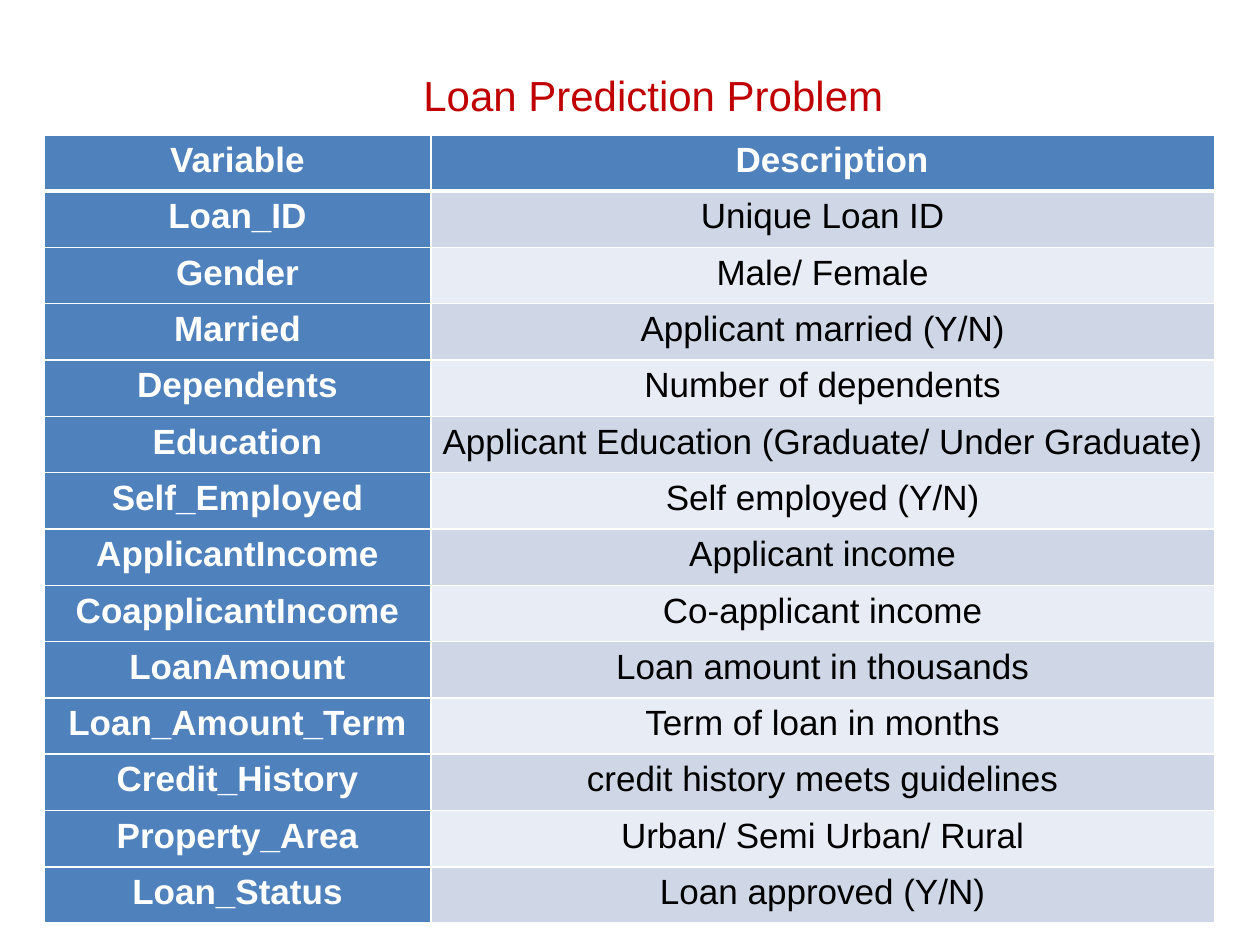
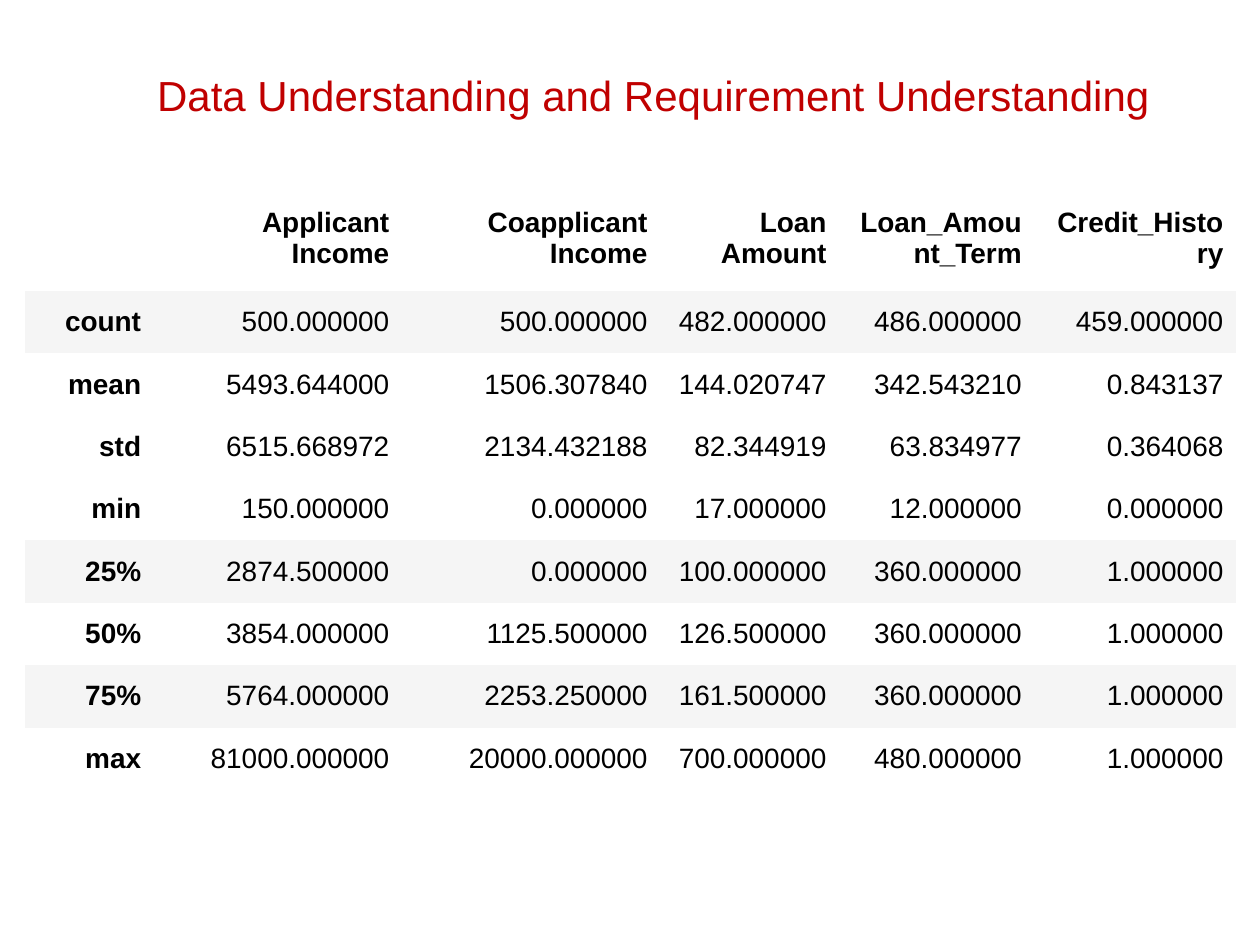
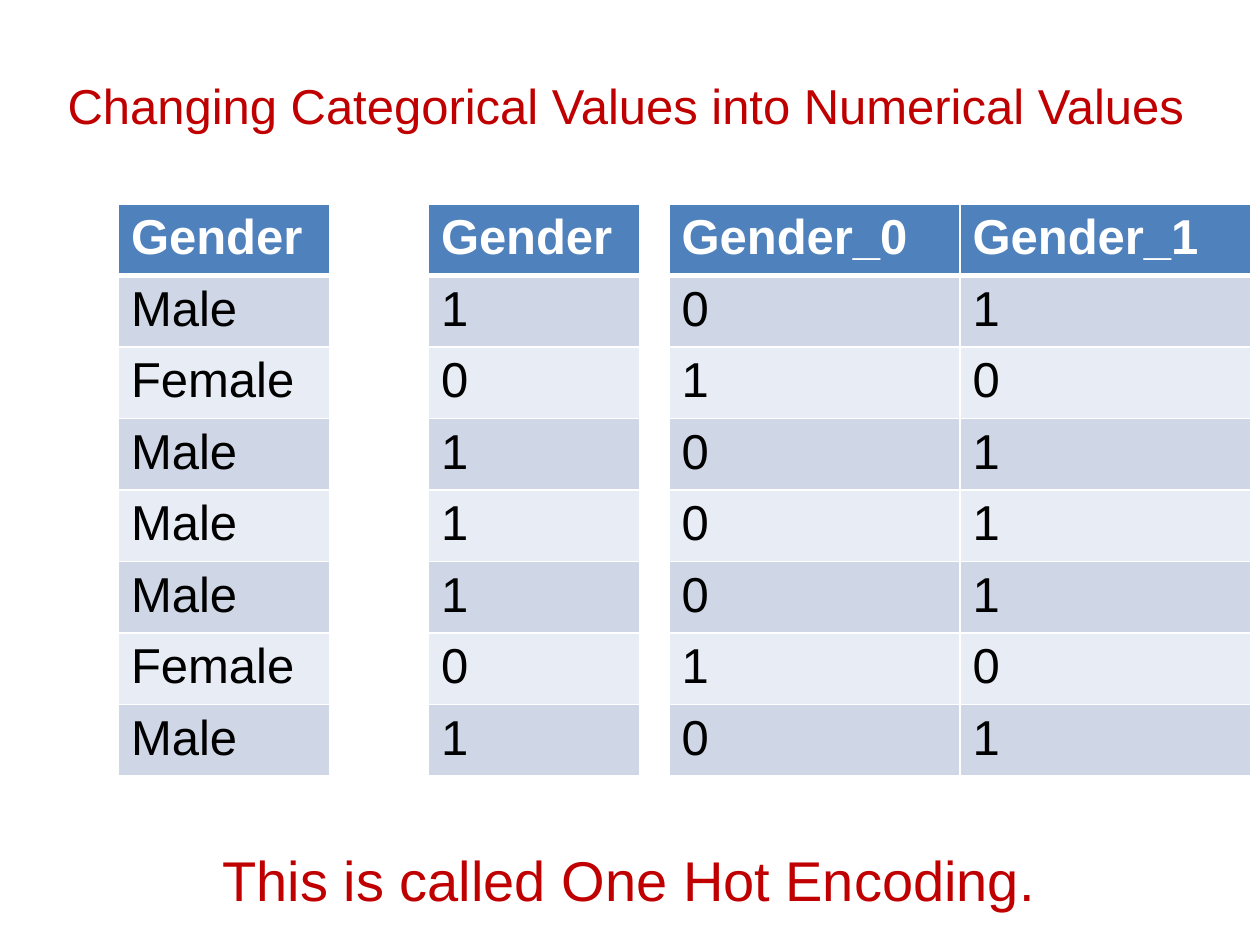
from lxml.etree import SubElement
from pptx import Presentation
from pptx.dml.color import RGBColor
from pptx.enum.text import MSO_ANCHOR as Anchor, PP_ALIGN as Align
from pptx.oxml.ns import qn
from pptx.util import Inches, Pt

FONT = "Arial"
RED, BLACK, WHITE = "C00000", "000000", "FFFFFF"
BLUE, DARK_BAND, LIGHT_BAND, GREY = "4F81BD", "CFD7E7", "E8ECF4", "F5F5F5"
PLAIN_TABLE_STYLE = "{2D5ABB26-0587-4C30-8999-92F81FD0307C}"

VARIABLES = [
    ("Variable", "Description"),
    ("Loan_ID", "Unique Loan ID"),
    ("Gender", "Male/ Female"),
    ("Married", "Applicant married (Y/N)"),
    ("Dependents", "Number of dependents"),
    ("Education", "Applicant Education (Graduate/ Under Graduate)"),
    ("Self_Employed", "Self employed (Y/N)"),
    ("ApplicantIncome", "Applicant income"),
    ("CoapplicantIncome", "Co-applicant income"),
    ("LoanAmount", "Loan amount in thousands"),
    ("Loan_Amount_Term", "Term of loan in months"),
    ("Credit_History", "credit history meets guidelines"),
    ("Property_Area", "Urban/ Semi Urban/ Rural"),
    ("Loan_Status", "Loan approved (Y/N)"),
]
STATISTICS_HEADER = ("", "Applicant Income", "Coapplicant Income", "Loan Amount",
                     "Loan_Amount_Term", "Credit_History")
STATISTICS = {
    "count": (500, 500, 482, 486, 459),
    "mean": (5493.644, 1506.30784, 144.020747, 342.54321, 0.843137),
    "std": (6515.668972, 2134.432188, 82.344919, 63.834977, 0.364068),
    "min": (150, 0, 17, 12, 0),
    "25%": (2874.5, 0, 100, 360, 1),
    "50%": (3854, 1125.5, 126.5, 360, 1),
    "75%": (5764, 2253.25, 161.5, 360, 1),
    "max": (81000, 20000, 700, 480, 1),
}
SHADED_STATISTICS = ("count", "25%", "75%")
GENDERS = ("Male", "Female", "Male", "Male", "Male", "Female", "Male")


def color(value):
    """Turn a hex string into a colour."""
    return RGBColor.from_string(value)


def banded_fill(row, column, blue_first_column=False):
    """Return the fill of a cell in a blue banded table."""
    if row == 0 or (blue_first_column and column == 0):
        return BLUE
    return DARK_BAND if row % 2 else LIGHT_BAND


def variable_fill(row, column):
    """Return the fill of a cell in the table of variables."""
    return banded_fill(row, column, blue_first_column=True)


def statistics_fill(row, column):
    """Return the fill of a cell in the table of statistics."""
    return GREY if row and list(STATISTICS)[row - 1] in SHADED_STATISTICS else None


class Deck:
    """Hold the shared style and the current slide."""

    def __init__(self):
        """Start an empty 10 by 7.5 inch presentation."""
        self.presentation = Presentation()
        self.presentation.slide_width = Inches(10)
        self.presentation.slide_height = Inches(7.5)
        self.slide = None

    def add_slide(self):
        """Start a blank slide."""
        self.slide = self.presentation.slides.add_slide(self.presentation.slide_layouts[6])

    def format_text(self, paragraph, size, font_color, bold=False, align=Align.LEFT):
        """Format a paragraph and its runs."""
        paragraph.alignment = align
        for run in paragraph.runs:
            run.font.name = FONT
            run.font.size = Pt(size)
            run.font.bold = bold
            run.font.color.rgb = color(font_color)

    def add_text(self, text, left, top, width, height, size, anchor=Anchor.TOP):
        """Add a centred red line of text."""
        text_frame = self.slide.shapes.add_textbox(
            Inches(left), Inches(top), Inches(width), Inches(height)).text_frame
        text_frame.word_wrap = True
        text_frame.vertical_anchor = anchor
        text_frame.text = text
        self.format_text(text_frame.paragraphs[0], size, RED, align=Align.CENTER)

    def add_title(self, text, left=1.06, top=0.13, width=8.25, size=24):
        """Add the slide title."""
        self.add_text(text, left, top, width, 1.25, size, Anchor.MIDDLE)

    def add_borders(self, cell, row):
        """Draw white cell borders, thick under the header row."""
        properties = cell._tc.get_or_add_tcPr()
        for side in "LRTB":
            thick = (row, side) in ((0, "B"), (1, "T"))
            line = SubElement(properties, qn(f"a:ln{side}"), w=str(Pt(3 if thick else 1)))
            fill = SubElement(line, qn("a:solidFill"))
            SubElement(fill, qn("a:srgbClr"), val=WHITE)

    def add_table(self, rows, left, top, widths, height, size, fill_rule, header_height=None,
                  align=Align.LEFT, anchor=Anchor.TOP, borders=True, margins=True, spacing=None):
        """Add a table whose body rows share the height left by the header."""
        table = self.slide.shapes.add_table(
            len(rows), len(widths), Inches(left), Inches(top),
            Inches(sum(widths)), Inches(height)).table
        table._tbl.tblPr.find(qn("a:tableStyleId")).text = PLAIN_TABLE_STYLE
        for column, width in zip(table.columns, widths):
            column.width = Inches(width)
        if header_height:
            table.rows[0].height = Inches(header_height)
            for body_row in list(table.rows)[1:]:
                body_row.height = Inches((height - header_height) / (len(rows) - 1))
        for r, values in enumerate(rows):
            for c, value in enumerate(values):
                cell, fill = table.cell(r, c), fill_rule(r, c)
                if borders:
                    self.add_borders(cell, r)
                if fill:
                    cell.fill.solid()
                    cell.fill.fore_color.rgb = color(fill)
                else:
                    cell.fill.background()
                cell.vertical_anchor = anchor
                if not margins:
                    cell.margin_left = cell.margin_right = 0
                    cell.margin_top = cell.margin_bottom = 0
                cell.text_frame.text = value
                paragraph = cell.text_frame.paragraphs[0]
                paragraph.line_spacing = spacing
                heading = fill == BLUE or (fill_rule is statistics_fill and 0 in (r, c))
                self.format_text(paragraph, size, WHITE if fill == BLUE else BLACK,
                                 heading, align)
        return table


def build_variables(deck):
    """Build the slide that describes the variables."""
    deck.add_slide()
    deck.add_title("Loan Prediction Problem")
    table = deck.add_table(VARIABLES, 0.35, 1.07, (3.07, 6.22), 6.26, 20, variable_fill,
                           align=Align.CENTER, anchor=Anchor.MIDDLE, margins=False,
                           spacing=0.82)
    table.cell(0, 1).margin_left = Inches(0.15)


def build_statistics(deck):
    """Build the slide with the summary statistics."""
    deck.add_slide()
    deck.add_title("Data Understanding and Requirement Understanding")
    rows = [STATISTICS_HEADER]
    rows += [(name, *(f"{value:.6f}" for value in values))
             for name, values in STATISTICS.items()]
    deck.add_table(rows, 0.2, 1.47, (1.02, 1.97, 2.05, 1.42, 1.55, 1.6), 4.8, 16,
                   statistics_fill, header_height=0.84, align=Align.RIGHT,
                   anchor=Anchor.MIDDLE, borders=False)


def build_encoding(deck):
    """Build the slide that encodes gender as numbers."""
    deck.add_slide()
    deck.add_title("Changing Categorical Values into Numerical Values", 0.28, 0.21, 9.37, 28)
    codes = [int(gender == "Male") for gender in GENDERS]
    labels = [("Gender",)] + [(gender,) for gender in GENDERS]
    numbers = [("Gender",)] + [(str(code),) for code in codes]
    one_hot = [("Gender_0", "Gender_1")] + [(str(1 - code), str(code)) for code in codes]
    for rows, left, widths in ((labels, 0.94, (1.68,)), (numbers, 3.4, (1.68,)),
                               (one_hot, 5.31, (2.31, 2.31))):
        deck.add_table(rows, left, 1.62, widths, 4.26, 28, banded_fill)
    deck.add_text("This is called One Hot Encoding.", 0.98, 6.66, 8.03, 0.64, 32)


def main():
    """Build and save the presentation."""
    deck = Deck()
    build_variables(deck)
    build_statistics(deck)
    build_encoding(deck)
    deck.presentation.save("out.pptx")


if __name__ == "__main__":
    main()
